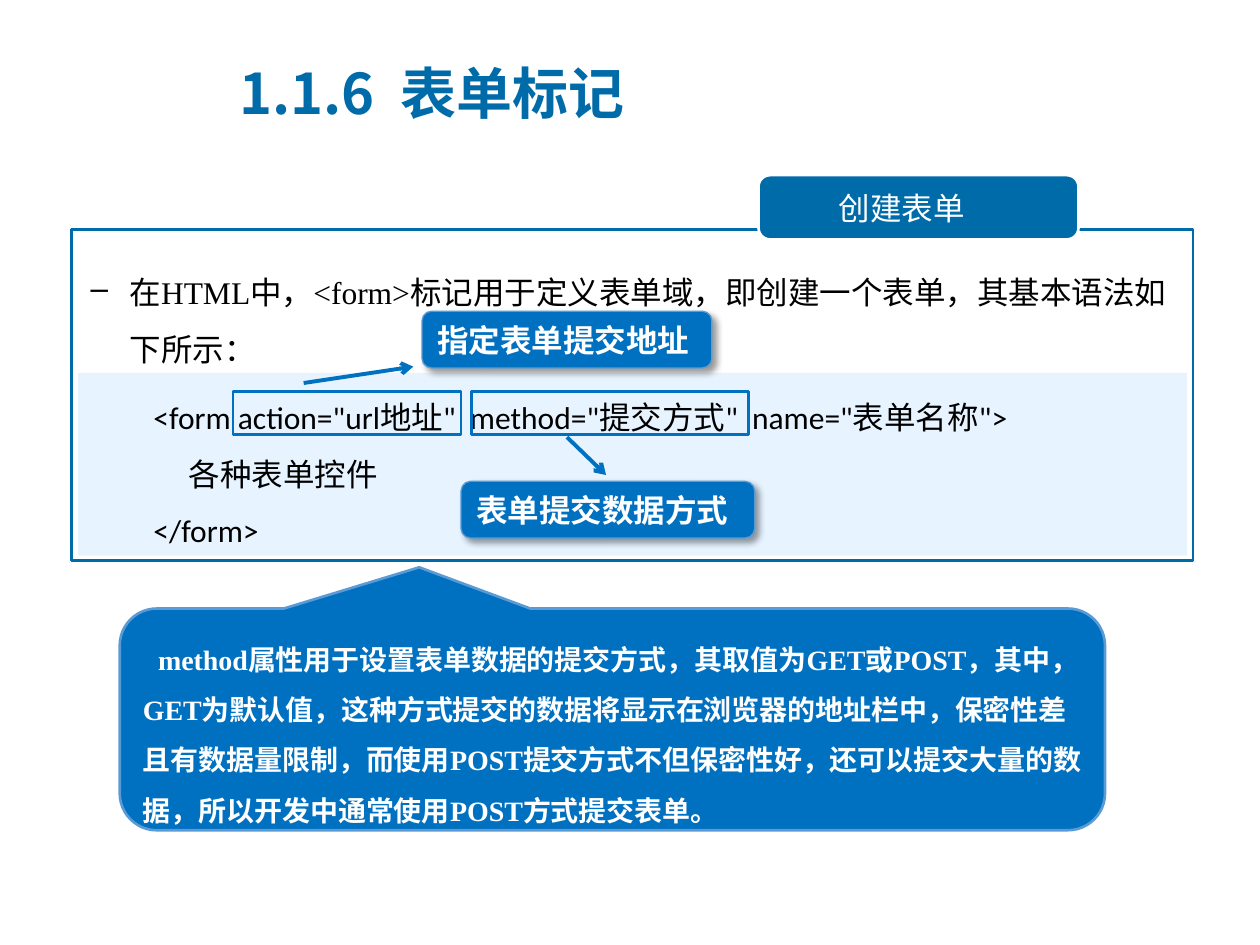
from dataclasses import dataclass
from typing import NamedTuple

from lxml.etree import SubElement
from pptx import Presentation
from pptx.dml.color import RGBColor
from pptx.enum.shapes import MSO_CONNECTOR, MSO_SHAPE
from pptx.enum.text import MSO_ANCHOR, MSO_AUTO_SIZE, PP_ALIGN
from pptx.oxml.ns import qn
from pptx.util import Emu, Inches, Pt

COLORS = {
    "title": "006BA9",
    "accent": "0070C0",
    "edge": "5B9BD5",
    "code": "E7F4FF",
    "white": "FFFFFF",
    "black": "000000",
}
COLUMNS, ROWS = 100, 75
CJK = "Noto Sans CJK SC"


class Box(NamedTuple):
    col: float
    row: float
    cols: float
    rows: float


@dataclass
class Style:
    size: float
    font: str
    color: str
    bold: bool = False
    spacing: float = 1.0
    left: float = 0
    indent: float = 0


@dataclass
class Hint:
    text: str
    label: Box
    target: Box
    start: tuple[float, float]
    end: tuple[float, float]


HINTS = [
    Hint("指定表单提交地址", Box(33.5, 24.7, 23, 4.5), Box(18.5, 31.1, 18.1, 3.4),
         (24.1, 30.4), (32.8, 29.1)),
    Hint("表单提交数据方式", Box(36.6, 38.2, 23.3, 4.5), Box(37.4, 31.1, 22, 3.4),
         (45, 34.7), (48.1, 37.7)),
]
CODE = [
    '<form action="url地址"  method="提交方式"  name="表单名称">',
    "     各种表单控件",
    "</form>",
]
INTRO = "在HTML中，<form>标记用于定义表单域，即创建一个表单，其基本语法如下所示："
NOTE = ("method属性用于设置表单数据的提交方式，其取值为GET或POST，其中，GET为默认值，"
        "这种方式提交的数据将显示在浏览器的地址栏中，保密性差且有数据量限制，"
        "而使用POST提交方式不但保密性好，还可以提交大量的数据，"
        "所以开发中通常使用POST方式提交表单。")

prs = Presentation()
prs.slide_width, prs.slide_height = Inches(10), Inches(7.5)
s = prs.slides.add_slide(prs.slide_layouts[5])


def x(cols: float) -> Emu:
    return Emu(round(prs.slide_width * cols / COLUMNS))


def y(rows: float) -> Emu:
    return Emu(round(prs.slide_height * rows / ROWS))


def place(box: Box) -> tuple[Emu, Emu, Emu, Emu]:
    return x(box.col), y(box.row), x(box.cols), y(box.rows)


def rgb(name: str) -> RGBColor:
    return RGBColor.from_string(COLORS[name])


def write(sp, lines: list[str], style: Style, anchor=MSO_ANCHOR.TOP) -> None:
    tf = sp.text_frame
    tf.text = "\n".join(lines)
    tf.word_wrap = True
    tf.auto_size = MSO_AUTO_SIZE.NONE
    tf.vertical_anchor = anchor
    for p in tf.paragraphs:
        p.alignment = PP_ALIGN.LEFT
        p.line_spacing = style.spacing
        pPr = p._p.get_or_add_pPr()
        pPr.set("marL", str(Inches(style.left)))
        pPr.set("indent", str(Inches(style.indent)))
        for r in p.runs:
            r.font.size = Pt(style.size)
            r.font.name = style.font
            r.font.bold = style.bold
            r.font.color.rgb = rgb(style.color)
            SubElement(r._r.get_or_add_rPr(), qn("a:ea"), typeface=CJK)


def add_box(box: Box, fill: str | None = None, line: str | None = None,
            width: float = 1.5, kind=MSO_SHAPE.RECTANGLE):
    sp = s.shapes.add_shape(kind, *place(box))
    sp.shadow.inherit = False
    if fill:
        sp.fill.solid()
        sp.fill.fore_color.rgb = rgb(fill)
    else:
        sp.fill.background()
    if line:
        sp.line.color.rgb = rgb(line)
        sp.line.width = Pt(width)
    else:
        sp.line.fill.background()
    return sp


def add_shadow(sp) -> None:
    effects = sp._element.spPr.find(qn("a:effectLst"))
    shadow = SubElement(effects, qn("a:outerShdw"), blurRad=str(Pt(4)), dist=str(Pt(3)),
                        dir=str(45 * 60000), algn="tl", rotWithShape="0")
    color = SubElement(shadow, qn("a:srgbClr"), val=COLORS["black"])
    SubElement(color, qn("a:alpha"), val="40000")


def add_arrow(start: tuple[float, float], end: tuple[float, float]) -> None:
    line = s.shapes.add_connector(MSO_CONNECTOR.STRAIGHT, x(start[0]), y(start[1]),
                                  x(end[0]), y(end[1]))
    line.line.color.rgb = rgb("accent")
    line.line.width = Pt(2.25)
    SubElement(line.line._get_or_add_ln(), qn("a:tailEnd"), type="arrow")
    SubElement(line._element.spPr, qn("a:effectLst"))


def add_text(box: Box, text: str, style: Style):
    sp = s.shapes.add_textbox(*place(box))
    write(sp, [text], style)
    return sp


def add_hint(hint: Hint) -> None:
    add_box(hint.target, line="accent")
    label = add_box(hint.label, "accent", "edge", 0.75, MSO_SHAPE.ROUNDED_RECTANGLE)
    add_shadow(label)
    write(label, [hint.text], Style(18, "Calibri", "white", bold=True), MSO_ANCHOR.MIDDLE)
    add_arrow(hint.start, hint.end)


def main() -> None:
    title = s.shapes.title
    title.left, title.top, title.width, title.height = place(Box(18, 4.3, 73, 6.1))
    write(title, ["1.1.6  表单标记"],
          Style(32, CJK, "title", bold=True, left=0.62, indent=-0.62), MSO_ANCHOR.MIDDLE)

    add_box(Box(5.7, 18.2, 89, 26.3), "white", "title")
    intro = add_text(Box(6.2, 19.7, 87.9, 10.1), INTRO,
                     Style(18, "Times New Roman", "black", spacing=1.5, left=0.31, indent=-0.31))
    pPr = intro.text_frame.paragraphs[0]._p.get_or_add_pPr()
    SubElement(pPr, qn("a:buChar"), char="–")

    code = add_box(Box(6.2, 29.6, 88, 14.5), "code")
    write(code, CODE, Style(18, "Calibri", "black", spacing=1.5, left=0.5))

    tab = add_box(Box(60.2, 13.9, 25.4, 5.1), "title", "white",
                  kind=MSO_SHAPE.ROUNDED_RECTANGLE)
    tab.adjustments[0] = 0.18
    add_text(Box(65.6, 14.5, 12.1, 4), "创建表单", Style(18, CJK, "white"))

    for hint in HINTS:
        add_hint(hint)

    note = add_box(Box(9.5, 48.3, 78.2, 17.6), "accent", "edge",
                   kind=MSO_SHAPE.ROUNDED_RECTANGULAR_CALLOUT)
    for i, value in enumerate((-0.196, -0.686, 0.167)):
        note.adjustments[i] = value
    write(note, [NOTE], Style(16, "Times New Roman", "white", bold=True,
                              spacing=1.5, indent=0.12))

    prs.save("out.pptx")


if __name__ == "__main__":
    main()
